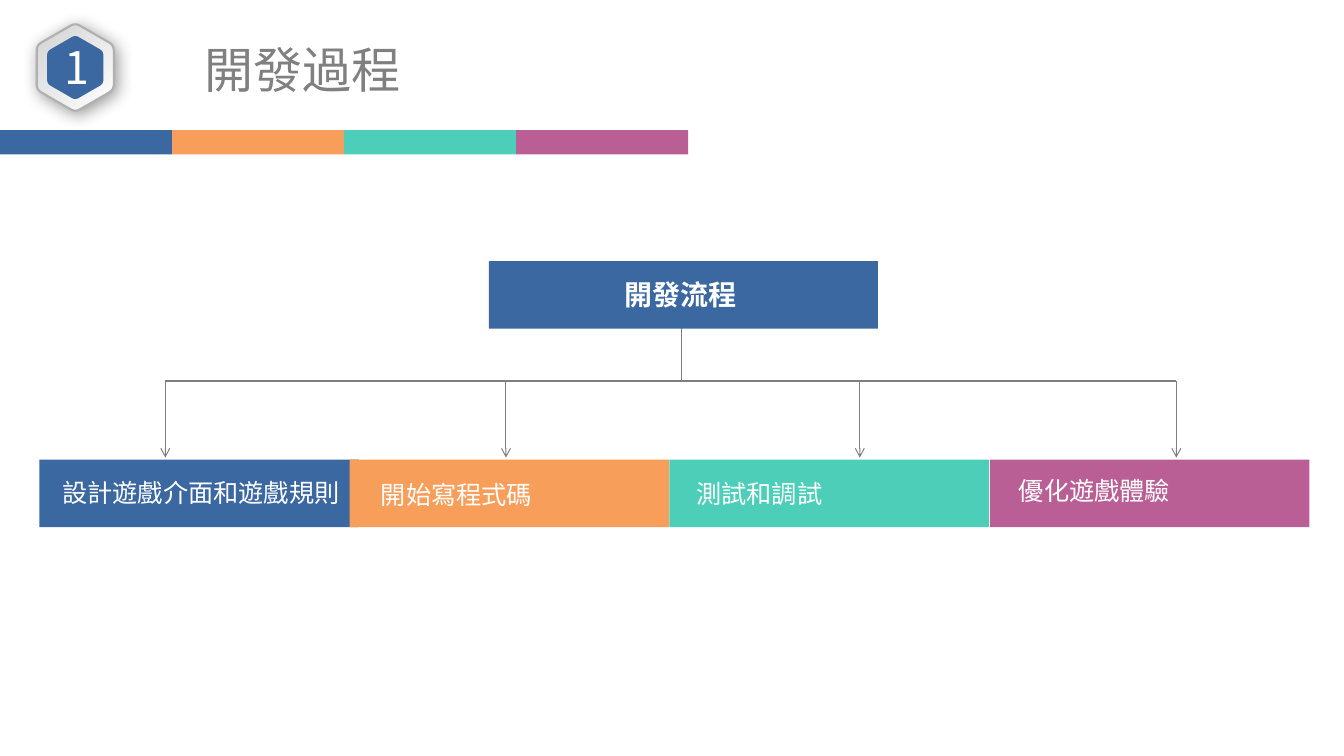
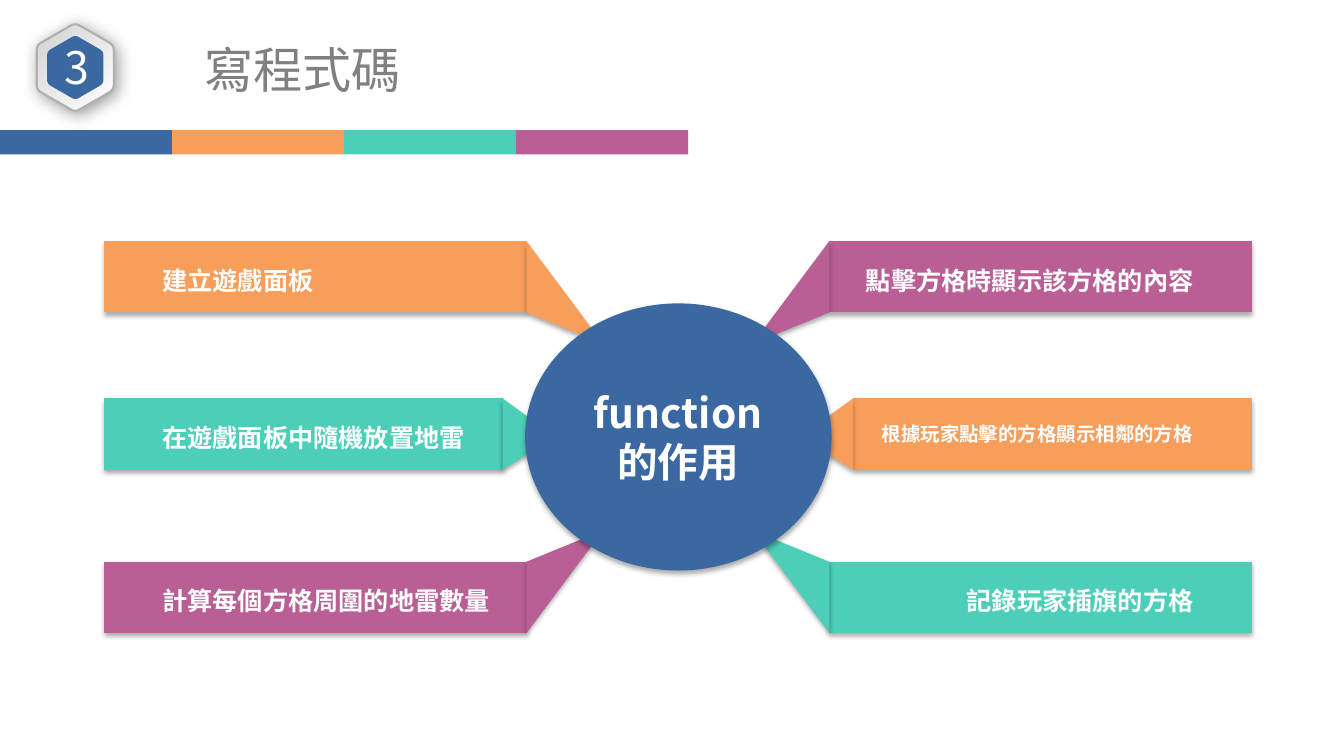
"""Build two slides on game development: a process tree and a function map."""
from dataclasses import dataclass
from math import cos, pi, sin

from lxml import etree
from pptx import Presentation
from pptx import util as u
from pptx.dml.color import RGBColor
from pptx.enum import shapes, text
from pptx.oxml.ns import qn

COLUMNS, ROWS = 80, 45
CELL = u.Inches(7.5) / ROWS
FONT = "Noto Sans CJK SC"
BLUE = RGBColor(0x3B, 0x68, 0xA1)
ORANGE = RGBColor(0xF7, 0x9E, 0x5A)
TEAL = RGBColor(0x4D, 0xCE, 0xB8)
PURPLE = RGBColor(0xB9, 0x5F, 0x95)
WHITE = RGBColor(0xFF, 0xFF, 0xFF)
SILVER = RGBColor(0xD3, 0xD3, 0xD3)
RIM_GRAY = RGBColor(0xB0, 0xB0, 0xB0)
TITLE_GRAY = RGBColor(0x80, 0x80, 0x80)
LINE_GRAY = RGBColor(0x7F, 0x7F, 0x7F)
ACCENTS = (BLUE, ORANGE, TEAL, PURPLE)
LEFT, CENTER, RIGHT = text.PP_ALIGN.LEFT, text.PP_ALIGN.CENTER, text.PP_ALIGN.RIGHT
TOP, MIDDLE = text.MSO_ANCHOR.TOP, text.MSO_ANCHOR.MIDDLE

BADGE_CENTER = (4.48, 4.02)
BUS_ROW, ARROW_END_ROW = 22.68, 27.24
TRUNK_COLUMN, TRUNK_ROW = 40.56, 19.2
STEP_ROW, STEP_WIDTH, BOX_HEIGHT = 27.36, 19.02, 4.02
MIRROR = 80.7
RIBBON_OUTER, RIBBON_HEIGHT = 6.2, 4.24
RIBBON_TEXT_LEFT, RIBBON_TEXT_WIDTH = 9.66, 19.68


@dataclass(frozen=True)
class Box:
    """A rectangle in grid cells."""
    left: float
    top: float
    width: float
    height: float

    def emu(self) -> list[u.Emu]:
        """Return left, top, width and height as lengths."""
        return [cells(value) for value in (self.left, self.top, self.width, self.height)]


@dataclass(frozen=True)
class Style:
    """The look of a text frame."""
    size: float
    color: RGBColor = WHITE
    bold: bool = False
    align: text.PP_ALIGN = LEFT
    anchor: text.MSO_ANCHOR = TOP
    insets: tuple[float, float] = (0.1, 0.05)
    wrap: bool = True


@dataclass(frozen=True)
class Shadow:
    """An outer black shadow, in points, degrees and percent."""
    blur: float
    distance: float
    angle: int
    opacity: int


@dataclass(frozen=True)
class Step:
    """One step below the process tree."""
    label: str
    left: float
    text_left: float
    text_top: float
    arrow: float
    color: RGBColor


@dataclass(frozen=True)
class Wing:
    """The fold that joins a ribbon to the hub."""
    edge: float
    tips: tuple[tuple[float, float], tuple[float, float]]
    flipped: bool = False


@dataclass(frozen=True)
class Ribbon:
    """A labelled band on one side of the hub."""
    label: str
    top: float
    wing: Wing
    color: RGBColor
    mirrored: bool = False
    size: float = 18


BADGE_SHADOW = Shadow(12, 3, 45, 40)
RIBBON_SHADOW = Shadow(3.5, 2.2, 90, 32)
TITLE_STYLE = Style(35, TITLE_GRAY, align=CENTER, anchor=MIDDLE, insets=(0.13, 0.06))
NUMBER_STYLE = Style(32, align=CENTER, insets=(0.07, 0.04))
ROOT_STYLE = Style(20, bold=True, wrap=False)
STEP_STYLE = Style(18, wrap=False)
HUB_STYLE = Style(29, bold=True, align=CENTER, anchor=MIDDLE)

STEPS = (
    Step("設計遊戲介面和遊戲規則", 2.34, 3.12, 28.14, 9.84, BLUE),
    Step("開始寫程式碼", 20.82, 22.08, 28.26, 30.12, ORANGE),
    Step("測試和調試", 39.84, 40.86, 28.2, 51.18, TEAL),
    Step("優化遊戲體驗", 58.92, 60.06, 28.02, 70.02, PURPLE),
)

STEEP = ((3.9, 5.22), (3.42, 5.64))
UPPER = Wing(31.34, STEEP)
CENTRAL = Wing(29.92, ((2.58, 1.86), (2.58, 2.64)))
LOWER = Wing(31.34, STEEP, flipped=True)
RIBBONS = (
    Ribbon("建立遊戲面板", 14.36, UPPER, ORANGE),
    Ribbon("在遊戲面板中隨機放置地雷", 23.72, CENTRAL, TEAL),
    Ribbon("計算每個方格周圍的地雷數量", 33.44, LOWER, PURPLE),
    Ribbon("點擊方格時顯示該方格的內容", 14.36, UPPER, PURPLE, True),
    Ribbon("根據玩家點擊的方格顯示相鄰的方格", 23.72, CENTRAL, ORANGE, True, 13.9),
    Ribbon("記錄玩家插旗的方格", 33.44, LOWER, TEAL, True),
)


def cells(value: float) -> u.Emu:
    """Convert grid cells to a length."""
    return u.Emu(round(value * CELL))


def write(shape, content: str, style: Style) -> None:
    """Write one styled run into a shape."""
    frame = shape.text_frame
    frame.word_wrap = style.wrap
    frame.vertical_anchor = style.anchor
    frame.margin_left = frame.margin_right = u.Inches(style.insets[0])
    frame.margin_top = frame.margin_bottom = u.Inches(style.insets[1])
    paragraph = frame.paragraphs[0]
    paragraph.alignment = style.align
    run = paragraph.add_run()
    run.text = content
    run.font.size = u.Pt(style.size)
    run.font.bold = style.bold
    run.font.color.rgb = style.color
    run.font.name = FONT
    etree.SubElement(run._r.get_or_add_rPr(), qn("a:ea"), typeface=FONT)


def add_text(slide, box: Box, content: str, style: Style) -> None:
    """Add a text box."""
    write(slide.shapes.add_textbox(*box.emu()), content, style)


def add_label(slide, left: float, top: float, content: str, style: Style) -> None:
    """Add a one-line label as wide as its full-width characters."""
    width = len(content) * style.size / 12 + 1.2
    add_text(slide, Box(left, top, width, 2.4), content, style)


def finish(shape, color: RGBColor, shadow: Shadow | None = None):
    """Give a shape a plain fill, no line and an optional shadow."""
    shape.fill.solid()
    shape.fill.fore_color.rgb = color
    shape.line.fill.background()
    shape.shadow.inherit = False
    if shadow:
        effects = shape.element.spPr.find(qn("a:effectLst"))
        outer = etree.SubElement(
            effects, qn("a:outerShdw"), blurRad=str(u.Pt(shadow.blur)),
            dist=str(u.Pt(shadow.distance)), dir=str(shadow.angle * 60000),
            algn="ctr", rotWithShape="0")
        tint = etree.SubElement(outer, qn("a:srgbClr"), val="000000")
        etree.SubElement(tint, qn("a:alpha"), val=str(shadow.opacity * 1000))
    return shape


def add_preset(slide, box: Box, color: RGBColor, shadow: Shadow | None = None,
               kind: shapes.MSO_SHAPE = shapes.MSO_SHAPE.RECTANGLE):
    """Add a filled preset shape."""
    return finish(slide.shapes.add_shape(kind, *box.emu()), color, shadow)


def add_outline(slide, points: list[tuple[float, float]], color: RGBColor,
                shadow: Shadow | None = None):
    """Add a filled polygon given in grid cells."""
    start, *others = [(cells(x), cells(y)) for x, y in points]
    builder = slide.shapes.build_freeform(*start)
    builder.add_line_segments(others, close=True)
    return finish(builder.convert_to_shape(), color, shadow)


def add_line(slide, start: tuple[float, float], end: tuple[float, float],
             arrow: bool = False) -> None:
    """Add a thin connector, with an arrowhead at its end if asked."""
    ends = [cells(value) for value in (*start, *end)]
    connector = slide.shapes.add_connector(shapes.MSO_CONNECTOR.STRAIGHT, *ends)
    connector.line.color.rgb = LINE_GRAY
    connector.line.width = u.Pt(0.75)
    properties = connector.element.spPr
    if arrow:
        etree.SubElement(properties.find(qn("a:ln")), qn("a:tailEnd"), type="arrow")
    etree.SubElement(properties, qn("a:effectLst"))


def rounded_hexagon(radius: float, cut: float = 0.12, steps: int = 6) -> list[tuple[float, float]]:
    """Return the points of an upright hexagon with softened corners."""
    corners = [(BADGE_CENTER[0] + radius * sin(k * pi / 3),
                BADGE_CENTER[1] - radius * cos(k * pi / 3)) for k in range(6)]
    points = []
    for index, corner in enumerate(corners):
        before, after = corners[index - 1], corners[(index + 1) % 6]
        for step in range(steps + 1):
            t = step / steps
            back, ahead = cut * (1 - t) ** 2, cut * t ** 2
            points.append(tuple(c + back * (b - c) + ahead * (a - c)
                                for b, c, a in zip(before, corner, after)))
    return points


def add_header(slide, number: str, title: str) -> None:
    """Draw the colour strip, the title and the numbered badge."""
    for index, color in enumerate(ACCENTS):
        add_preset(slide, Box(index * 10.24, 7.74, 10.24, 1.46), color)
    add_text(slide, Box(6.6, 2.1, 22.8, 4.02), title, TITLE_STYLE)
    rim = add_outline(slide, rounded_hexagon(2.65), SILVER, BADGE_SHADOW)
    rim.fill.gradient()
    rim.fill.gradient_angle = 135
    for stop, color, position in zip(rim.fill.gradient_stops, (WHITE, SILVER), (0, 1)):
        stop.color.rgb = color
        stop.position = position
    rim.line.color.rgb = RIM_GRAY
    rim.line.width = u.Pt(1.5)
    add_outline(slide, rounded_hexagon(1.93), BLUE)
    add_text(slide, Box(2.52, 2.1, 4.14, 3.66), number, NUMBER_STYLE)


def add_process(slide) -> None:
    """Draw the process tree."""
    add_line(slide, (STEPS[0].arrow, BUS_ROW), (STEPS[-1].arrow, BUS_ROW))
    for step in STEPS:
        add_line(slide, (step.arrow, BUS_ROW), (step.arrow, ARROW_END_ROW), arrow=True)
    add_line(slide, (TRUNK_COLUMN, TRUNK_ROW), (TRUNK_COLUMN, BUS_ROW))
    add_preset(slide, Box(29.1, 15.54, 23.16, BOX_HEIGHT), BLUE)
    add_label(slide, 36.6, 16.2, "開發流程", ROOT_STYLE)
    for step in STEPS:
        add_preset(slide, Box(step.left, STEP_ROW, STEP_WIDTH, BOX_HEIGHT), step.color)
        add_label(slide, step.text_left, step.text_top, step.label, STEP_STYLE)


def add_ribbon(slide, ribbon: Ribbon) -> None:
    """Draw the band and the fold of one ribbon."""
    edge, height = ribbon.wing.edge, RIBBON_HEIGHT
    band = [(RIBBON_OUTER, 0), (RIBBON_OUTER, height), (edge, height), (edge, 0)]
    fold = [(edge, 0), *((edge + x, y) for x, y in ribbon.wing.tips), (edge, height)]
    for outline in (band, fold):
        points = [(MIRROR - x if ribbon.mirrored else x,
                   ribbon.top + (height - y if ribbon.wing.flipped else y))
                  for x, y in outline]
        add_outline(slide, points, ribbon.color, RIBBON_SHADOW)


def add_function_map(slide) -> None:
    """Draw the ribbons, their labels and the hub."""
    for ribbon in RIBBONS:
        add_ribbon(slide, ribbon)
    for ribbon in RIBBONS:
        left = MIRROR - RIBBON_TEXT_LEFT - RIBBON_TEXT_WIDTH if ribbon.mirrored else RIBBON_TEXT_LEFT
        style = Style(ribbon.size, bold=True, align=RIGHT if ribbon.mirrored else LEFT,
                      insets=(0, 0.07))
        add_text(slide, Box(left, ribbon.top + 1, RIBBON_TEXT_WIDTH, 2.52), ribbon.label, style)
    hub = add_preset(slide, Box(31.26, 18.06, 18.24, 15.9), BLUE, RIBBON_SHADOW,
                     shapes.MSO_SHAPE.OVAL)
    write(hub, "function的作用", HUB_STYLE)


def main() -> None:
    """Build and save the presentation."""
    presentation = Presentation()
    presentation.slide_width, presentation.slide_height = cells(COLUMNS), cells(ROWS)
    for number, title, draw in (("1", "開發過程", add_process),
                                ("3", "寫程式碼", add_function_map)):
        slide = presentation.slides.add_slide(presentation.slide_layouts[6])
        add_header(slide, number, title)
        draw(slide)
    presentation.save("out.pptx")


if __name__ == "__main__":
    main()
